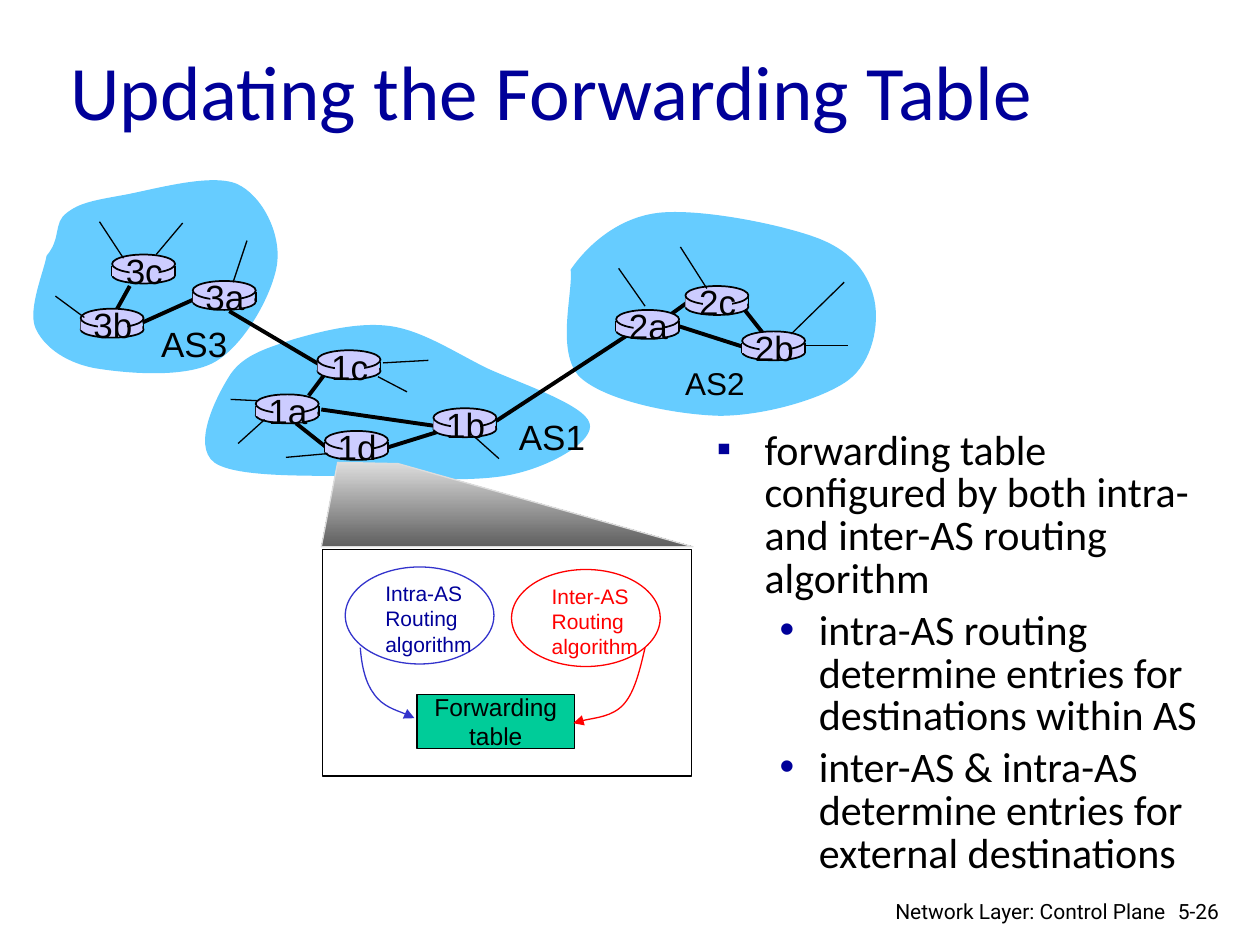
"""Build a slide on how intra- and inter-AS routing fill the forwarding table."""
from lxml import etree
from pptx import Presentation
from pptx.dml.color import RGBColor
from pptx.enum import shapes, text
from pptx.oxml import ns
from pptx.util import Inches, Pt

SKY = RGBColor(0x66, 0xCC, 0xFF)
LILAC = RGBColor(0xCC, 0xCC, 0xFF)
BLACK = RGBColor(0, 0, 0)
NAVY = RGBColor(0, 0, 0x99)
BLUE = RGBColor(0x33, 0x33, 0xCC)
RED = RGBColor(0xFF, 0, 0)
GREEN = RGBColor(0, 0xCC, 0x99)
LIGHT = RGBColor(0xDD, 0xDD, 0xDD)
DARK = RGBColor(0x5F, 0x5F, 0x5F)
RECT, OVAL = shapes.MSO_SHAPE.RECTANGLE, shapes.MSO_SHAPE.OVAL
CENTER, RIGHT = text.PP_ALIGN.CENTER, text.PP_ALIGN.RIGHT

CLOUDS = [
    [(4.53, 2.14), (4.66, 1.95), (4.9, 1.73), (5.22, 1.69), (5.55, 1.65), (6.2, 1.78),
     (6.49, 1.89), (6.78, 2), (6.9, 2.19), (6.94, 2.38), (6.98, 2.57), (6.93, 2.87),
     (6.73, 3.02), (6.52, 3.17), (6.06, 3.3), (5.71, 3.3), (5.35, 3.29), (4.8, 3.18),
     (4.6, 2.99), (4.41, 2.79), (4.55, 2.32), (4.53, 2.14)],
    [(0.37, 2.03), (0.49, 1.89), (0.42, 1.77), (0.53, 1.69), (0.63, 1.61), (0.75, 1.59),
     (0.97, 1.55), (1.2, 1.51), (1.67, 1.37), (1.88, 1.46), (2.08, 1.55), (2.23, 1.85),
     (2.2, 2.09), (2.17, 2.32), (1.95, 2.73), (1.71, 2.87), (1.47, 3.01), (0.97, 2.96),
     (0.74, 2.92), (0.5, 2.87), (0.34, 2.74), (0.28, 2.6), (0.22, 2.45), (0.35, 2.15),
     (0.37, 2.03)],
    [(1.83, 2.97), (1.94, 2.81), (2.13, 2.76), (2.34, 2.69), (2.55, 2.63), (2.85, 2.55),
     (3.11, 2.59), (3.36, 2.63), (3.6, 2.79), (3.86, 2.92), (4.12, 3.04), (4.64, 3.21),
     (4.68, 3.36), (4.72, 3.5), (4.39, 3.69), (4.09, 3.76), (3.8, 3.83), (3.31, 3.8),
     (2.91, 3.78), (2.52, 3.77), (1.88, 3.8), (1.7, 3.67), (1.52, 3.53), (1.72, 3.14),
     (1.83, 2.97)],
]
ROUTERS = {
    "3a": (1.53, 2.23), "3b": (0.64, 2.45), "3c": (0.89, 2.02), "1a": (2.03, 3.13),
    "1b": (3.44, 3.24), "1c": (2.52, 2.78), "1d": (2.58, 3.42), "2a": (4.89, 2.46),
    "2b": (5.89, 2.63), "2c": (5.44, 2.27),
}
LINKS = [
    (5.39, 2.59, 5.89, 2.75), (5.91, 2.46, 6.06, 2.65), (5.29, 2.52, 5.47, 2.39),
    (3.08, 3.55, 3.5, 3.42), (2.35, 3.36, 2.59, 3.55), (2.55, 3.25, 3.45, 3.38),
    (2.45, 3.14, 2.57, 2.98), (1.13, 2.56, 1.53, 2.38), (1.82, 2.47, 2.53, 2.89),
    (3.94, 3.34, 4.98, 2.66), (1.03, 2.27, 0.93, 2.45),
]
STUBS = [
    (0.44, 2.35, 0.67, 2.52), (1.45, 1.77, 1.24, 2.02), (0.79, 1.76, 0.98, 2.05),
    (1.96, 1.91, 1.85, 2.24), (6.38, 2.74, 6.73, 2.74), (6.28, 2.65, 6.7, 2.24),
    (5.61, 2.29, 5.4, 1.96), (5.12, 2.43, 4.91, 2.13), (2.1, 3.33, 1.89, 3.52),
    (2.04, 3.18, 1.83, 3.17), (2.6, 3.6, 2.27, 3.63), (3.04, 2.88, 3.4, 2.86),
    (3.77, 3.47, 3.96, 3.64), (3, 2.99, 3.23, 3.11),
]
AS_NAMES = [("AS3", 1.18, 2.51, 0.73, 0.43, 20), ("AS1", 4.02, 3.25, 0.73, 0.43, 20),
            ("AS2", 5.34, 2.84, 0.67, 0.4, 18)]
ALGORITHMS = [
    ("Intra-AS", 2.74, 4.5, BLUE, NAVY,
     [(2.86, 5.14), (2.87, 5.28), (2.9, 5.42), (2.97, 5.51), (3.04, 5.61), (3.24, 5.67),
      (3.29, 5.7)]),
    ("Inter-AS", 4.06, 4.52, RED, RED,
     [(5.12, 5.14), (5.08, 5.31), (5.04, 5.49), (4.95, 5.59), (4.86, 5.69), (4.62, 5.71),
      (4.55, 5.74)]),
]
FUNNEL = [(2.55, 4.34), (2.68, 3.67), (3.16, 3.68), (5.5, 4.34), (2.55, 4.34)]
BULLETS = [
    (0, "▪", 0.38, 0.38,
     "forwarding table configured by both intra- and inter-AS routing algorithm"),
    (1, "•", 0.81, 0.31, "intra-AS routing determine entries for destinations within AS"),
    (1, "•", 0.81, 0.31, "inter-AS & intra-AS determine entries for external destinations"),
]

prs = Presentation()
prs.slide_width, prs.slide_height = Inches(10), Inches(7.5)
s = prs.slides.add_slide(prs.slide_layouts[6])


def paint(sp, fill=None, line=None, width=0.75):
    sp.shadow.inherit = False
    if fill is None:
        sp.fill.background()
    else:
        sp.fill.solid()
        sp.fill.fore_color.rgb = fill
    if line is None:
        sp.line.fill.background()
    else:
        sp.line.color.rgb = line
        sp.line.width = Pt(width)
    return sp


def box(kind, x, y, w, h, **look):
    return paint(s.shapes.add_shape(kind, *map(Inches, (x, y, w, h))), **look)


def line(x1, y1, x2, y2, width):
    cn = s.shapes.add_connector(shapes.MSO_CONNECTOR.STRAIGHT, *map(Inches, (x1, y1, x2, y2)))
    cn.line.color.rgb = BLACK
    cn.line.width = Pt(width)
    etree.SubElement(cn._element.spPr, ns.qn("a:effectLst"))


def outline(points, closed=True, curved=True, **look):
    start, *rest = [(Inches(x), Inches(y)) for x, y in points]
    fb = s.shapes.build_freeform(*start)
    fb.add_line_segments(rest, close=closed)
    sp = paint(fb.convert_to_shape(), **look)
    if curved:
        segments = list(sp._element.iter(ns.qn("a:lnTo")))
        for i in range(0, len(segments), 3):
            curve = etree.Element(ns.qn("a:cubicBezTo"))
            segments[i].addprevious(curve)
            for segment in segments[i:i + 3]:
                curve.append(segment[0])
                segment.getparent().remove(segment)
    return sp


def write(lines, at=None, sp=None, size=20, font="Arial", color=BLACK, align=None,
          wrap=False, anchor=text.MSO_ANCHOR.TOP):
    sp = sp or s.shapes.add_textbox(*map(Inches, at))
    tf = sp.text_frame
    tf.word_wrap = wrap
    tf.vertical_anchor = anchor
    for i, words in enumerate(lines):
        p = tf.paragraphs[0] if i == 0 else tf.add_paragraph()
        p.alignment = align
        r = p.add_run()
        r.text = words
        r.font.size, r.font.name = Pt(size), font
        r.font.color.rgb = color
    return tf


def router(name, x, y):
    box(OVAL, x, y + 0.1, 0.5, 0.13, fill=LILAC, line=BLACK, width=1)
    for side in (x, x + 0.5):
        line(side, y + 0.09, side, y + 0.17, 1)
    box(RECT, x, y + 0.09, 0.49, 0.08, fill=LILAC)
    box(OVAL, x, y, 0.5, 0.15, fill=LILAC, line=BLACK, width=1)
    box(RECT, x + 0.14, y + 0.02, 0.23, 0.2, fill=LILAC)
    write([name], (x, y - 0.09, 0.51, 0.43), align=CENTER)


for cloud in CLOUDS:
    outline(cloud, fill=SKY)
for link in LINKS:
    line(*link, 2.25)
for name, (x, y) in ROUTERS.items():
    router(name, x, y)
for name, *at, size in AS_NAMES:
    write([name], at, size=size)
for stub in STUBS:
    line(*stub, 0.75)

funnel = outline(FUNNEL, curved=False, line=LIGHT)
funnel.fill.gradient()
funnel.fill.gradient_angle = 270
for stop, color in zip(funnel.fill.gradient_stops, (LIGHT, DARK)):
    stop.color.rgb = color

box(RECT, 2.56, 4.36, 2.93, 1.8, line=BLACK)
table = box(RECT, 3.31, 5.51, 1.25, 0.43, fill=GREEN, line=BLACK)
write(["Forwarding", "table"], sp=table, size=14, align=CENTER, anchor=text.MSO_ANCHOR.MIDDLE)
for name, x, y, stroke, ink, route in ALGORITHMS:
    box(OVAL, x, y, 1.18, 0.77, line=stroke)
    write([name, "Routing", "algorithm"], (x + 0.22, y + 0.06, 0.95, 0.7), size=12, color=ink)
    arrow = outline(route, closed=False, line=stroke)
    etree.SubElement(arrow.line._get_or_add_ln(), ns.qn("a:tailEnd"), type="triangle")

write(["Updating the Forwarding Table"], (0.46, 0.25, 8.5, 0.92), size=44, font="Calibri",
      color=NAVY, wrap=True, anchor=text.MSO_ANCHOR.MIDDLE)
tf = write([b[-1] for b in BULLETS], (5.59, 3.37, 4.17, 3.72), size=24, font="Calibri", wrap=True)
for p, (level, mark, left, hang, _) in zip(tf.paragraphs, BULLETS):
    p.level, p.line_spacing, p.space_before = level, 0.85, Pt(5)
    pPr = p._p.get_or_add_pPr()
    pPr.set("marL", str(Inches(left)))
    pPr.set("indent", str(-Inches(hang)))
    tint = etree.SubElement(pPr, ns.qn("a:buClr"))
    etree.SubElement(tint, ns.qn("a:srgbClr"), val=str(NAVY))
    etree.SubElement(pPr, ns.qn("a:buFont"), typeface="Arial")
    etree.SubElement(pPr, ns.qn("a:buChar"), char=mark)
write(["5-26"], (9.25, 7.08, 0.6, 0.3), size=12, font="Roboto", wrap=True)
write(["Network Layer: Control Plane"], (6.97, 7.08, 2.38, 0.26), size=12, font="Roboto",
      align=RIGHT, wrap=True)

prs.save("out.pptx")
